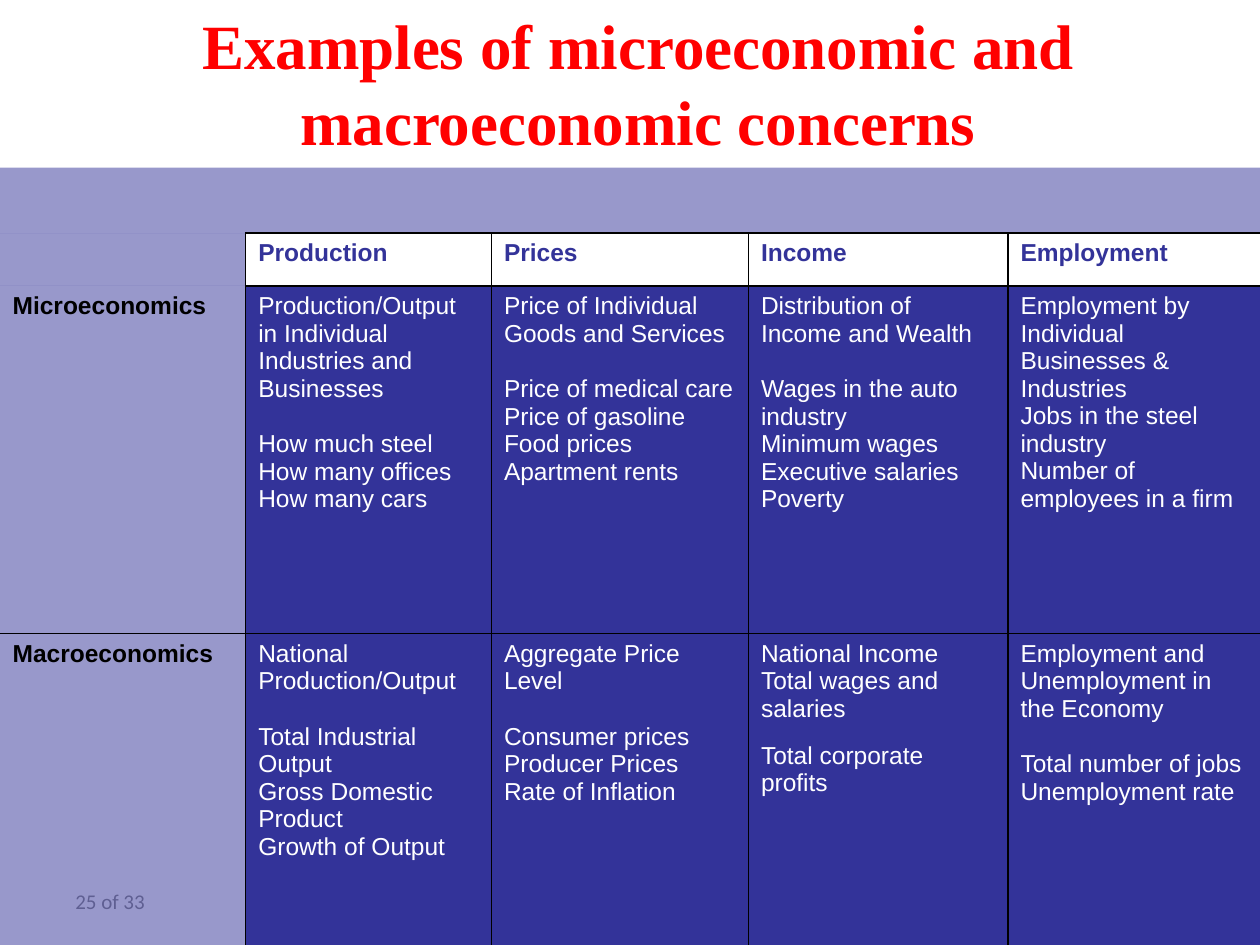
from lxml.etree import SubElement
from pptx import Presentation
from pptx.dml.color import RGBColor
from pptx.enum.text import MSO_ANCHOR, PP_ALIGN
from pptx.oxml import parse_xml
from pptx.oxml.ns import nsdecls, qn
from pptx.util import Inches, Pt

RED = RGBColor(0xFF, 0x00, 0x00)
GREY = RGBColor(0x8C, 0x8C, 0x8C)
BLUE = RGBColor(0x33, 0x33, 0x99)
WHITE = RGBColor(0xFF, 0xFF, 0xFF)
BLACK = RGBColor(0x00, 0x00, 0x00)
NO_GRID = "{2D5ABB26-0587-4C30-8999-92F81FD0307C}"

COLS = [1.95, 1.95, 2.04, 2.06, 2]
ROWS = [0.52, 0.42, 2.76, 2.47]
HEADS = ["Production", "Prices", "Income", "Employment"]

# Each cell: lead text, detail text, gap between them in points
MICRO = [
    ("Production/Output in Individual Industries and Businesses",
     "How much steel\nHow many offices\nHow many cars", 16),
    ("Price of Individual Goods and Services",
     "Price of medical care\nPrice of gasoline\nFood prices\nApartment rents", 16),
    ("Distribution of Income and Wealth",
     "Wages in the auto\nindustry\nMinimum wages\nExecutive salaries\nPoverty", 16),
    ("Employment by Individual Businesses & Industries",
     "Jobs in the steel industry\nNumber of employees in a firm", 0),
]
MACRO = [
    ("National Production/Output",
     "Total Industrial Output\nGross Domestic Product\nGrowth of Output", 16),
    ("Aggregate Price Level",
     "Consumer prices\nProducer Prices\nRate of Inflation", 16),
    ("National Income\nTotal wages and salaries", "Total corporate profits", 11),
    ("Employment and Unemployment in the Economy",
     "Total number of jobs\nUnemployment rate", 16),
]


class Deck:
    def __init__(self):
        self.prs = Presentation()
        self.prs.slide_width = Inches(10)
        self.prs.slide_height = Inches(7.5)
        self.slide = self.prs.slides.add_slide(self.prs.slide_layouts[6])

    def style(self, frame, font, size, color, bold=False):
        for para in frame.paragraphs:
            para.font.size = Pt(size)
            for run in para.runs:
                run.font.name = font
                run.font.size = Pt(size)
                run.font.bold = bold
                run.font.color.rgb = color

    def text(self, words, box, font, size, color, bold=False, align=PP_ALIGN.LEFT):
        frame = self.slide.shapes.add_textbox(*map(Inches, box)).text_frame
        frame.word_wrap = True
        frame.vertical_anchor = MSO_ANCHOR.MIDDLE
        frame.text = words
        frame.paragraphs[0].alignment = align
        self.style(frame, font, size, color, bold)

    def table(self, left, top, cols, rows):
        shape = self.slide.shapes.add_table(
            len(rows), len(cols), Inches(left), Inches(top),
            Inches(sum(cols)), Inches(sum(rows)))
        table = shape.table
        table.first_row = table.horz_banding = False
        table._tbl.tblPr.find(qn("a:tableStyleId")).text = NO_GRID
        for col, width in zip(table.columns, cols):
            col.width = Inches(width)
        for row, height in zip(table.rows, rows):
            row.height = Inches(height)
        return table

    def cell(self, cell, words, color, fill, alpha=100, bold=False, edges=""):
        cell.text_frame.text = words
        self.style(cell.text_frame, "Arial", 14, color, bold)
        cell.fill.solid()
        cell.fill.fore_color.rgb = fill
        props = cell._tc.get_or_add_tcPr()
        if alpha < 100:
            tint = props.find(qn("a:solidFill"))[0]
            SubElement(tint, qn("a:alpha")).set("val", str(alpha * 1000))
        for spot, side in enumerate(edges):
            props.insert(spot, parse_xml(
                f'<a:ln{side} {nsdecls("a")} w="12700"><a:solidFill>'
                f'<a:srgbClr val="{BLACK}"/></a:solidFill></a:ln{side}>'))


def main():
    deck = Deck()
    deck.text("25 of 33", (0.5, 6.95, 2.33, 0.4), "Calibri", 12, GREY)
    deck.text("Examples of microeconomic and macroeconomic concerns",
              (0.4, 0, 9.33, 1.31), "Times New Roman", 36, RED, True, PP_ALIGN.CENTER)

    table = deck.table(0, 1.33, COLS, ROWS)
    table.cell(0, 0).merge(table.cell(0, 4))
    deck.cell(table.cell(0, 0), "", BLACK, BLUE, 50)

    sides = [("", "R"), ("Microeconomics", "RB"), ("Macroeconomics", "RT")]
    for row, (name, edges) in enumerate(sides, 1):
        deck.cell(table.cell(row, 0), name, BLACK, BLUE, 50, True, edges)

    for col, head in enumerate(HEADS, 1):
        right = "" if col == len(HEADS) else "R"
        deck.cell(table.cell(1, col), head, BLUE, WHITE, 49, True, f"L{right}TB")
        for row, topic, base in ((2, MICRO, "B"), (3, MACRO, "")):
            lead, detail, gap = topic[col - 1]
            cell = table.cell(row, col)
            deck.cell(cell, f"{lead}\n{detail}", WHITE, BLUE, edges=f"L{right}T{base}")
            first = len(lead.split("\n"))
            cell.text_frame.paragraphs[first].space_before = Pt(gap)

    deck.prs.save("out.pptx")


if __name__ == "__main__":
    main()
